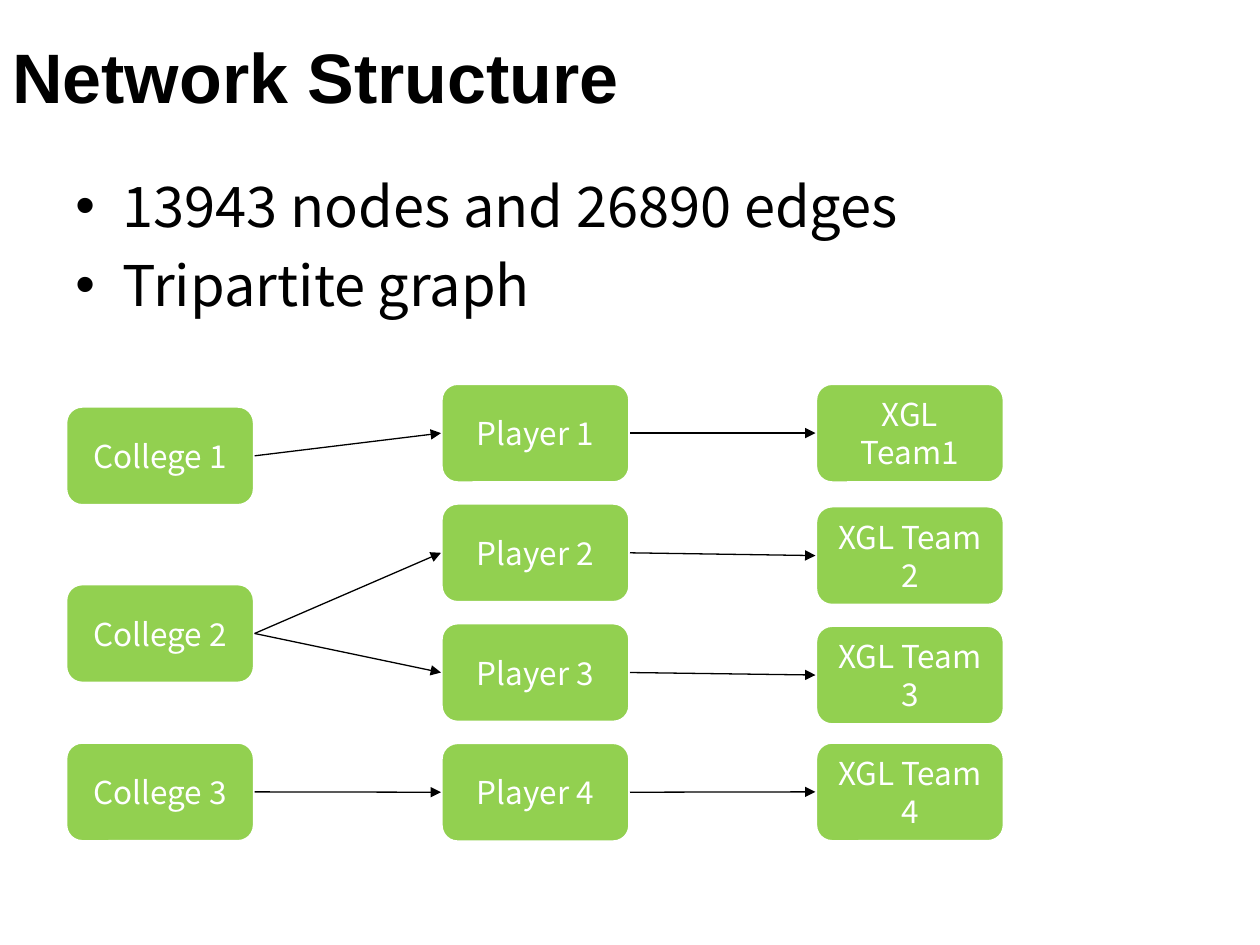
"""Build the Network Structure slide: a tripartite graph of colleges, players and teams."""
from lxml.etree import SubElement as Sub
from pptx import Presentation
from pptx.dml.color import RGBColor as Rgb
from pptx.enum.shapes import MSO_CONNECTOR as Conn, MSO_SHAPE as Shape
from pptx.enum.text import MSO_ANCHOR as Anchor, PP_ALIGN as Align
from pptx.oxml.ns import qn
from pptx.util import Pt

HUES = {"ink": "000000", "node": "92D050", "white": "FFFFFF"}
SANS = "Noto Sans CJK KR"


def style(para, size, hue, face=SANS, bold=False):
    font = para.font
    font.size, font.name, font.bold = Pt(size), face, bold
    font.color.rgb = Rgb.from_string(HUES[hue])


deck = Presentation()
deck.slide_width, deck.slide_height = Pt(720), Pt(540)
slide = deck.slides.add_slide(deck.slide_layouts[6])
shapes = slide.shapes

title = shapes.add_textbox(Pt(0), Pt(1.5), Pt(720), Pt(83)).text_frame
title.word_wrap = True
title.vertical_anchor = Anchor.MIDDLE
title.text = "Network Structure"
style(title.paragraphs[0], 40, "ink", "Arial", True)

body = shapes.add_textbox(Pt(36), Pt(94.5), Pt(648), Pt(430.5)).text_frame
body.word_wrap = True
body.text = "13943 nodes and 26890 edges\nTripartite graph"
for i, para in enumerate(body.paragraphs):
    props = para._p.get_or_add_pPr()
    props.set("marL", str(Pt(27)))
    props.set("indent", str(Pt(-27)))
    Sub(props, qn("a:buFont"), typeface="Arial")
    Sub(props, qn("a:buChar"), char="•")
    if i:
        para.space_before = Pt(6.4)
    style(para, 32, "ink")

ranks = [
    (37.5, {"College 1": 232, "College 2": 333.5, "College 3": 424}),
    (252, {f"Player {i + 1}": 219 + 68.4 * i for i in range(4)}),
    (466, {"XGL Team1": 219, "XGL Team 2": 289, "XGL Team 3": 357.25, "XGL Team 4": 424}),
]
nodes = []
for left, rank in ranks:
    column = []
    for label, top in rank.items():
        box = shapes.add_shape(Shape.ROUNDED_RECTANGLE, Pt(left), Pt(top), Pt(108), Pt(57))
        box.shadow.inherit = False
        box.fill.solid()
        box.fill.fore_color.rgb = Rgb.from_string(HUES["node"])
        box.line.color.rgb = Rgb.from_string(HUES["white"])
        box.line.width = Pt(2)
        frame = box.text_frame
        frame.word_wrap = True
        frame.vertical_anchor = Anchor.MIDDLE
        frame.text = label
        para = frame.paragraphs[0]
        para.alignment = Align.CENTER
        style(para, 18, "white")
        column.append(box)
    nodes.append(column)

schools, players, teams = nodes
edges = [(schools[s], players[p]) for s, p in [(0, 0), (1, 1), (1, 2), (2, 3)]]
edges += zip(players, teams)
for start, end in edges:
    edge = shapes.add_connector(Conn.STRAIGHT, Pt(0), Pt(0), Pt(0), Pt(0))
    edge.begin_connect(start, 3)
    edge.end_connect(end, 1)
    edge.line.color.rgb = Rgb.from_string(HUES["ink"])
    edge.line.width = Pt(0.75)
    Sub(edge.line._get_or_add_ln(), qn("a:tailEnd"), type="triangle")
    Sub(edge._element.spPr, qn("a:effectLst"))

deck.save("out.pptx")
